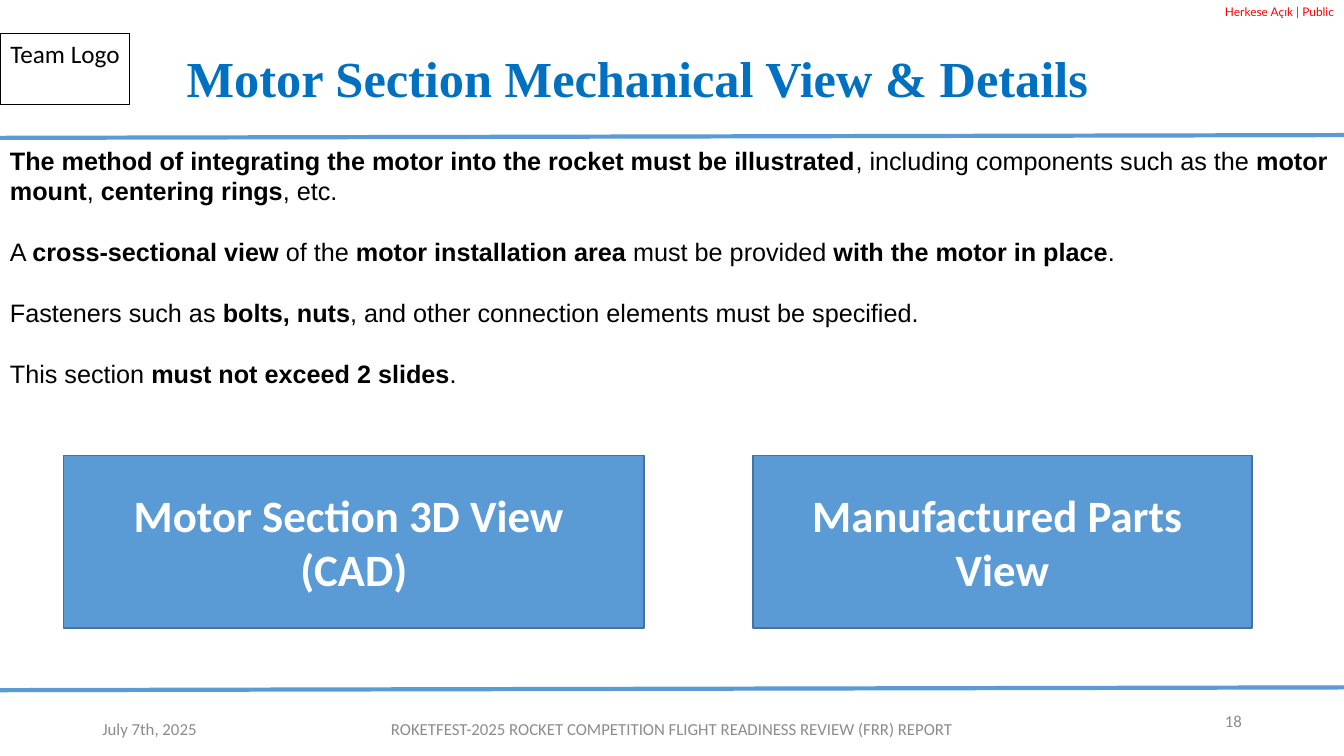
"""Builds the motor section slide of a rocket flight readiness report."""
from lxml.etree import SubElement
from pptx import Presentation
from pptx.dml.color import RGBColor
from pptx.enum.shapes import MSO_CONNECTOR, MSO_SHAPE
from pptx.enum.text import MSO_ANCHOR as Anchor, PP_ALIGN as Align
from pptx.oxml.ns import qn
from pptx.util import Pt

BLACK = RGBColor(0x00, 0x00, 0x00)
WHITE = RGBColor(0xFF, 0xFF, 0xFF)
RED = RGBColor(0xFF, 0x00, 0x00)
GRAY = RGBColor(0x8C, 0x8C, 0x8C)
TITLE_BLUE = RGBColor(0x00, 0x70, 0xC0)
BLUE = RGBColor(0x5B, 0x9B, 0xD5)
DARK_BLUE = RGBColor(0x43, 0x73, 0x9E)
WIDTH = 960

deck = Presentation()
deck.slide_width, deck.slide_height = Pt(WIDTH), Pt(540)
page = deck.slides.add_slide(deck.slide_layouts[6])


def add_text(paragraphs, left, top, width, height, size=12, font="Calibri", color=GRAY,
             bold=False, align=Align.LEFT, anchor=Anchor.MIDDLE, fill=None, line=None,
             line_width=1, spacing=None, gap=0, wrap=True):
    """Adds a box of paragraphs, where every second part split by ** is bold."""
    place = Pt(left), Pt(top), Pt(width), Pt(height)
    if line is None:
        box = page.shapes.add_textbox(*place)
    else:
        box = page.shapes.add_shape(MSO_SHAPE.RECTANGLE, *place)
        box.shadow.inherit = False
        box.line.color.rgb = line
        box.line.width = Pt(line_width)
        if fill is None:
            box.fill.background()
        else:
            box.fill.solid()
            box.fill.fore_color.rgb = fill
    frame = box.text_frame
    frame.word_wrap = wrap
    frame.vertical_anchor = anchor
    for number, text in enumerate(paragraphs):
        para = frame.add_paragraph() if number else frame.paragraphs[0]
        para.alignment = align
        if spacing:
            para.line_spacing = spacing
        if number and gap:
            para.space_before = Pt(gap)
        for index, part in enumerate(text.split("**")):
            if part:
                span = para.add_run()
                span.text = part
                span.font.size = Pt(size)
                span.font.name = font
                span.font.color.rgb = color
                span.font.bold = bold or index % 2 == 1


add_text(["Herkese Açık | Public"], 0, 0, WIDTH, 17.3, size=8.5, font="Lato", color=RED,
         align=Align.RIGHT, anchor=Anchor.TOP)
add_text(["Motor Section Mechanical View & Details "], 100, 22.3, 720, 59, size=36,
         font="Times New Roman", color=TITLE_BLUE, bold=True, align=Align.CENTER,
         anchor=Anchor.BOTTOM, spacing=0.9)

for rule_top in (96.5, 491):
    rule = page.shapes.add_connector(MSO_CONNECTOR.STRAIGHT, Pt(0), Pt(rule_top + 2),
                                     Pt(WIDTH), Pt(rule_top))
    rule.line.color.rgb = BLUE
    rule.line.width = Pt(3)
    SubElement(rule.line._get_or_add_ln().getparent(), qn("a:effectLst"))

add_text(["Team Logo"], 0.5, 24, 92, 51, size=18, color=BLACK, align=Align.CENTER,
         anchor=Anchor.TOP, line=BLACK, line_width=0.75, wrap=False)

requirements = [
    "**The method of integrating the motor into the rocket must be illustrated**, including "
    "components such as the **motor mount**, **centering rings**, etc.",
    "A **cross-sectional view** of the **motor installation area **must be provided "
    "**with the motor in place**.",
    "Fasteners such as **bolts, nuts**, and other connection elements must be specified.",
    "This section **must not exceed 2 slides**.",
]
add_text(requirements, 0, 100, WIDTH, 181.5, size=18, font="Arial", color=BLACK,
         anchor=Anchor.TOP, spacing=Pt(21.7), gap=21.7)

views = [
    (["Motor Section 3D View ", "(CAD)"], 45.4, 414.7),
    (["Manufactured Parts ", "View"], 537.8, 356.4),
]
for caption, left, width in views:
    add_text(caption, left, 325.5, width, 123, size=32, color=WHITE, bold=True,
             align=Align.CENTER, fill=BLUE, line=DARK_BLUE)

add_text(["18"], 678.2, 500.4, 216, 28.8, align=Align.RIGHT)
add_text(["July 7th, 2025"], 66, 506.2, 216, 28.8)
add_text(["ROKETFEST-2025 ROCKET COMPETITION FLIGHT READINESS REVIEW (FRR) REPORT"],
         199.5, 506.2, 561, 28.8, align=Align.CENTER)

deck.save("out.pptx")
